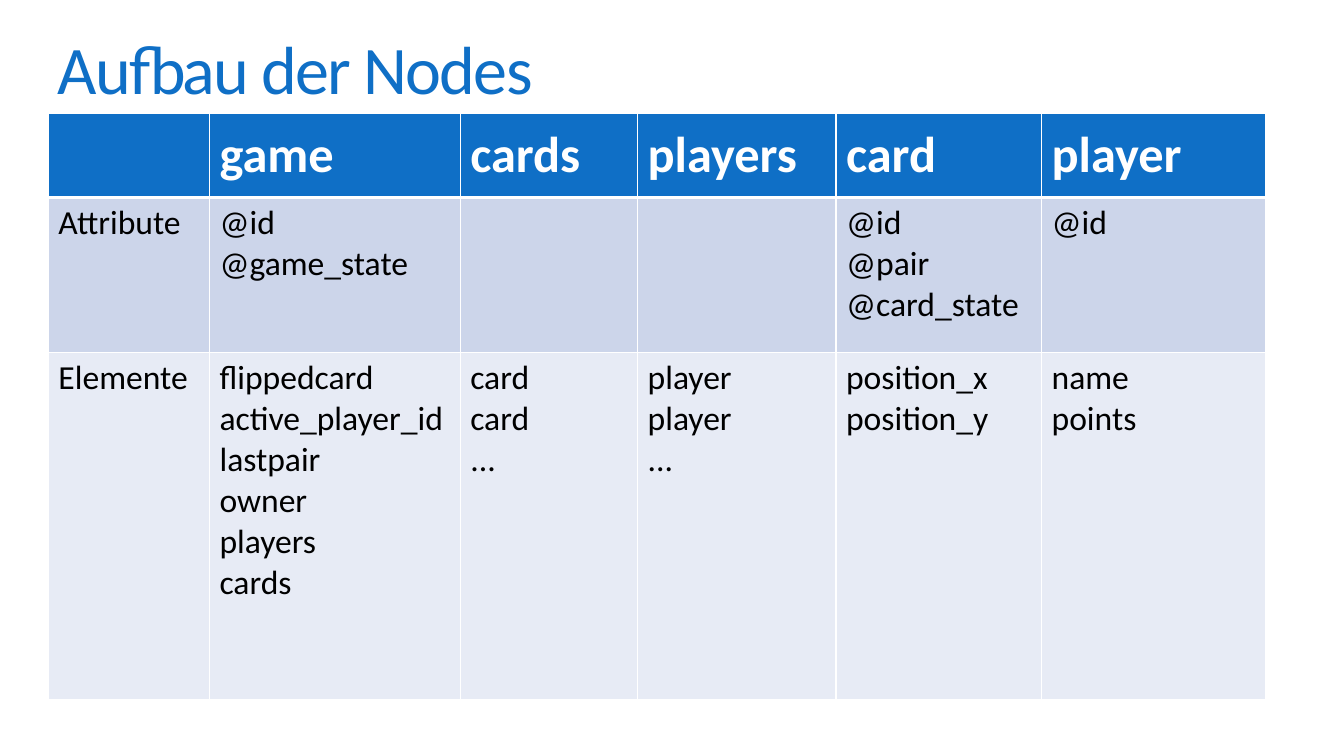
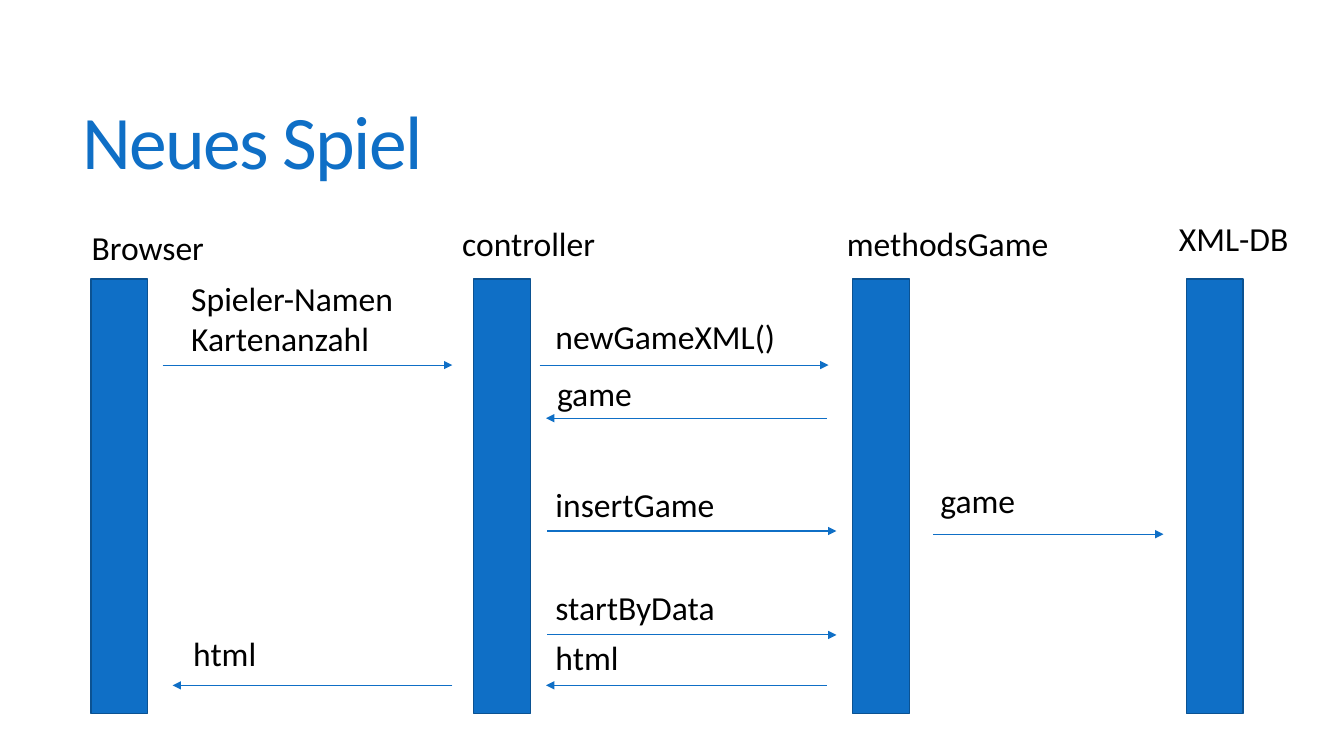
from dataclasses import dataclass

from lxml import etree
from pptx import Presentation
from pptx.dml.color import RGBColor
from pptx.enum import shapes, text
from pptx.oxml import ns
from pptx.util import Cm, Pt


@dataclass(frozen=True)
class Theme:
    font: str = "Calibri"
    blue: str = "0F6FC6"
    edge: str = "0B5292"
    ink: str = "000000"
    white: str = "FFFFFF"
    bands: tuple = ("CCD5EA", "E7EBF5")
    title: float = 54
    head: float = 36
    body: float = 24


class Deck:
    def __init__(self, theme):
        self.theme = theme
        self.file = Presentation()
        self.file.slide_width = Cm(33.87)
        self.file.slide_height = Cm(19.05)
        self.slide = None

    def style(self, frame, size, color, bold=False):
        for para in frame.paragraphs:
            for run in para.runs:
                font = run.font
                font.name, font.size, font.bold = self.theme.font, Pt(size), bold
                font.color.rgb = RGBColor.from_string(color)

    def page(self, title, box, size):
        self.slide = self.file.slides.add_slide(self.file.slide_layouts[5])
        shape = self.slide.shapes.title
        shape.left, shape.top, shape.width, shape.height = map(Cm, box)
        frame = shape.text_frame
        frame.text = title
        frame.auto_size = text.MSO_AUTO_SIZE.NONE
        frame.vertical_anchor = text.MSO_ANCHOR.MIDDLE
        para = frame.paragraphs[0]
        para.alignment = text.PP_ALIGN.LEFT
        para.line_spacing = 0.85
        self.style(frame, size, self.theme.blue)
        para.runs[0].font._element.set("spc", "-120")

    def label(self, words, left, top, width):
        rows = words.count("\n") + 1
        box = self.slide.shapes.add_textbox(
            Cm(left), Cm(top), Cm(width), Cm(0.25 + 1.03 * rows))
        frame = box.text_frame
        frame.text = words
        frame.word_wrap = True
        frame.auto_size = text.MSO_AUTO_SIZE.SHAPE_TO_FIT_TEXT
        self.style(frame, self.theme.body, self.theme.ink)

    def bar(self, left, top, width, height):
        shape = self.slide.shapes.add_shape(
            shapes.MSO_SHAPE.RECTANGLE, *map(Cm, (left, top, width, height)))
        shape.shadow.inherit = False
        shape.fill.solid()
        shape.fill.fore_color.rgb = RGBColor.from_string(self.theme.blue)
        shape.line.color.rgb = RGBColor.from_string(self.theme.edge)
        shape.line.width = Pt(1)

    def arrow(self, start, end, level):
        line = self.slide.shapes.add_connector(
            shapes.MSO_CONNECTOR.STRAIGHT, *map(Cm, (start, level, end, level)))
        line.line.color.rgb = RGBColor.from_string(self.theme.blue)
        line.line.width = Pt(0.75)
        etree.SubElement(line.line._get_or_add_ln(), ns.qn("a:tailEnd"), type="triangle")
        etree.SubElement(line._element.spPr, ns.qn("a:effectLst"))

    def border(self, cell, row):
        props = cell._tc.get_or_add_tcPr()
        thick = {0: "lnB", 1: "lnT"}.get(row)
        for side in ("lnL", "lnR", "lnT", "lnB"):
            width = Pt(3 if side == thick else 1)
            line = etree.SubElement(props, ns.qn("a:" + side), w=str(width))
            fill = etree.SubElement(line, ns.qn("a:solidFill"))
            etree.SubElement(fill, ns.qn("a:srgbClr"), val=self.theme.white)

    def table(self, left, top, widths, heights, cells):
        look = self.theme
        grid = self.slide.shapes.add_table(
            len(heights), len(widths), Cm(left), Cm(top),
            Cm(sum(widths)), Cm(sum(heights))).table
        for col, width in zip(grid.columns, widths):
            col.width = Cm(width)
        for i, (height, words) in enumerate(zip(heights, cells)):
            grid.rows[i].height = Cm(height)
            head = i == 0
            for cell, word in zip(grid.rows[i].cells, words):
                cell.text = word
                self.border(cell, i)
                cell.fill.solid()
                cell.fill.fore_color.rgb = RGBColor.from_string(
                    look.blue if head else look.bands[i - 1])
                if head:
                    cell.vertical_anchor = text.MSO_ANCHOR.MIDDLE
                self.style(cell.text_frame, look.head if head else look.body,
                           look.white if head else look.ink, head)


def nodes(deck):
    deck.page("Aufbau der Nodes", (1.2, 0.9, 22.17, 1.93), deck.theme.title * 0.9)
    deck.table(
        1.22, 2.85, (4.06, 6.32, 4.47, 5, 5.18, 5.64), (2.13, 3.91, 8.74),
        (
            ("", "game", "cards", "players", "card", "player"),
            ("Attribute", "@id\n@game_state", "", "", "@id\n@pair\n@card_state", "@id"),
            ("Elemente",
             "flippedcard\nactive_player_id\nlastpair\nowner\nplayers\ncards",
             "card\ncard\n...", "player\nplayer\n...",
             "position_x\nposition_y", "name\npoints"),
        ))


def game(deck):
    deck.page("Neues Spiel", (1.82, 1.4, 29.93, 4.59), deck.theme.title)
    lanes = (
        ("Browser", 2.29, 2.06, 5.6, 3.73),
        ("controller", 11.94, 11.4, 5.48, 4.04),
        ("methodsGame", 21.49, 21.09, 5.48, 5.97),
        ("XML-DB", 29.9, 29.46, 5.37, 4.39),
    )
    for name, post, left, top, width in lanes:
        deck.label(name, left, top, width)
        deck.bar(post, 7.03, 1.43, 10.95)
    calls = (
        ("Spieler-Namen\nKartenanzahl", 4.57, 6.88, 4.1, 11.4, 9.2),
        ("newGameXML()", 13.75, 7.83, 13.6, 20.88, 9.2),
        ("game", 13.79, 9.27, 20.83, 13.76, 10.54),
        ("insertGame", 13.75, 12.07, 13.79, 21.08, 13.38),
        ("game", 23.45, 11.96, 23.52, 29.32, 13.46),
        ("startByData", 13.75, 14.66, 13.79, 21.08, 16),
        ("html", 13.75, 15.93, 20.83, 13.76, 17.27),
        ("html", 4.62, 15.82, 11.4, 4.35, 17.27),
    )
    for words, left, top, start, end, level in calls:
        deck.label(words, left, top, 6.68)
        deck.arrow(start, end, level)


def main():
    deck = Deck(Theme())
    nodes(deck)
    game(deck)
    deck.file.save("out.pptx")


if __name__ == "__main__":
    main()
